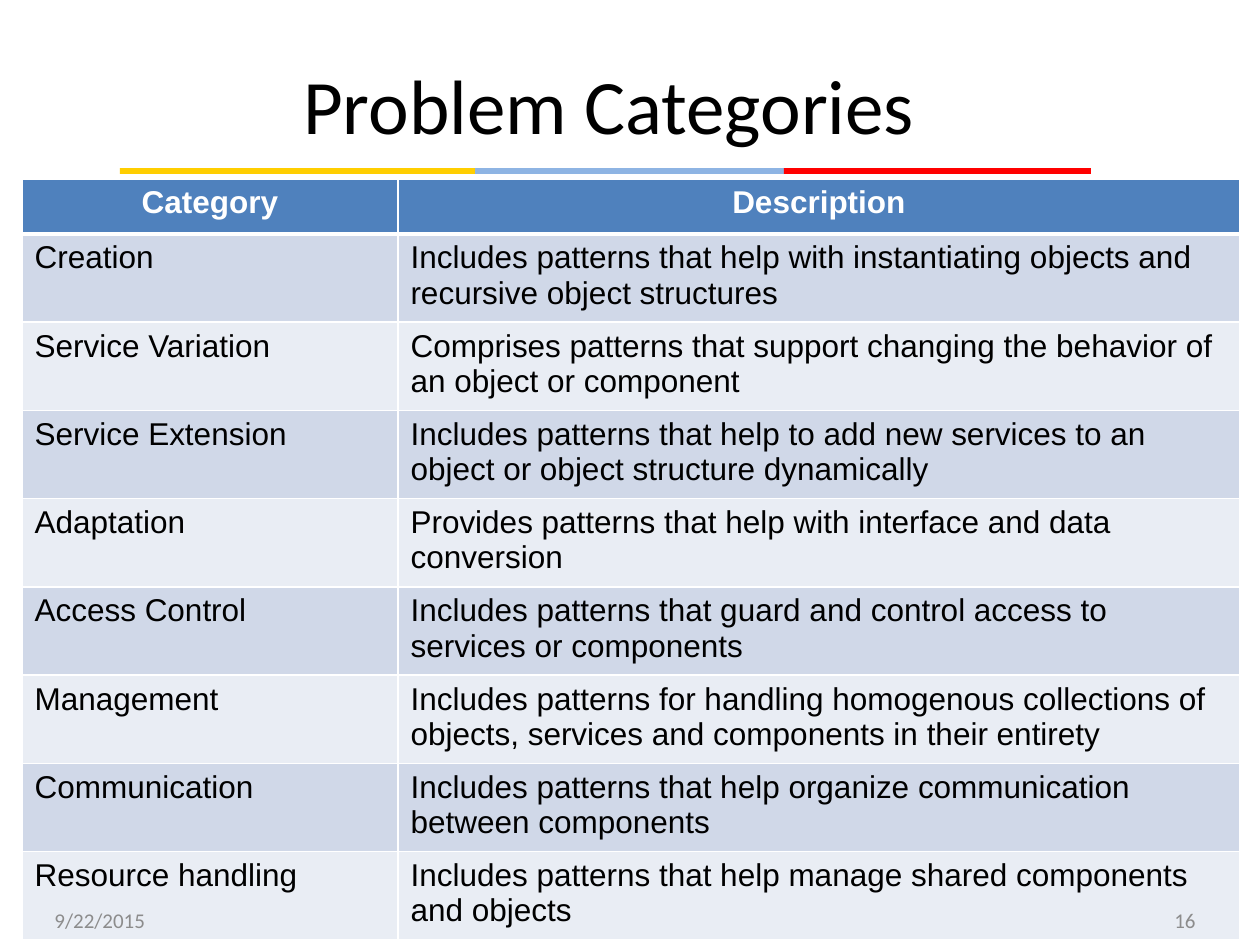
import pptx
import pptx.util
import pptx.dml.color
import pptx.enum.shapes
import pptx.enum.text
import pptx.oxml
import pptx.oxml.ns

RGBColor = pptx.dml.color.RGBColor
ALIGN = pptx.enum.text.PP_ALIGN
WHITE = RGBColor(0xFF, 0xFF, 0xFF)
BLACK = RGBColor(0, 0, 0)
GRAY = RGBColor(0x8C, 0x8C, 0x8C)
YELLOW = RGBColor(0xFF, 0xCE, 0x00)
SKY = RGBColor(0x8E, 0xB4, 0xE3)
RED = RGBColor(0xFF, 0, 0)
HEADER_BLUE = RGBColor(0x4F, 0x81, 0xBD)
BANDS = [RGBColor(0xD0, 0xD8, 0xE8), RGBColor(0xE9, 0xED, 0xF4)]

HEADINGS = ("Category", "Description")
CATEGORIES = [
    ("Creation", "Includes patterns that help with instantiating objects and recursive object structures"),
    ("Service Variation", "Comprises patterns that support changing the behavior of an object or component"),
    ("Service Extension", "Includes patterns that help to add new services to an object or object structure dynamically"),
    ("Adaptation", "Provides patterns that help with interface and data conversion"),
    ("Access Control", "Includes patterns that guard and control access to services or components"),
    ("Management", "Includes patterns for handling homogenous collections of objects, services and components in their entirety"),
    ("Communication", "Includes patterns that help organize communication between components"),
    ("Resource handling", "Includes patterns that help manage shared components and objects"),
]
LABELS = [
    ("Problem Categories", (42, 39, 1134, 130), 44, BLACK, ALIGN.CENTER),
    ("9/22/2015", (42, 895, 294, 50), 12, GRAY, ALIGN.LEFT),
    ("16", (914, 895, 294, 50), 12, GRAY, ALIGN.RIGHT),
]
RULE_SEGMENTS = [(470, 321, SKY), (784, 307, RED), (120, 355, YELLOW)]
COLUMN_WIDTHS = [376, 842]
HEADER_HEIGHT, ROW_HEIGHT, SHORT_HEIGHT = 55, 86, 83
SHORT_ROWS = ("Adaptation", "Resource handling")


def px(length):
    return pptx.util.Emu(round(length * 914400 / 126))


def write(paragraph, text, size, font, color, align, bold=False):
    paragraph.alignment = align
    run = paragraph.add_run()
    run.text = text
    run.font.size = pptx.util.Pt(size)
    run.font.name = font
    run.font.bold = bold
    run.font.color.rgb = color


def add_label(slide, text, box, size, color, align):
    frame = slide.shapes.add_textbox(*map(px, box)).text_frame
    frame.word_wrap = True
    frame.vertical_anchor = pptx.enum.text.MSO_ANCHOR.MIDDLE
    write(frame.paragraphs[0], text, size, "Calibri", color, align)


def set_borders(cell, top, bottom):
    properties = cell._tc.get_or_add_tcPr()
    widths = {"lnL": 1, "lnR": 1, "lnT": top, "lnB": bottom}
    for position, (side, width) in enumerate(widths.items()):
        properties.insert(position, pptx.oxml.parse_xml(
            f'<a:{side} {pptx.oxml.ns.nsdecls("a")} w="{pptx.util.Pt(width)}">'
            f'<a:solidFill><a:srgbClr val="{WHITE}"/></a:solidFill></a:{side}>'))


def add_category_table(slide):
    heights = [HEADER_HEIGHT] + [
        SHORT_HEIGHT if name in SHORT_ROWS else ROW_HEIGHT for name, _ in CATEGORIES]
    table = slide.shapes.add_table(
        len(heights), len(COLUMN_WIDTHS), px(22), px(179),
        px(sum(COLUMN_WIDTHS)), px(sum(heights))).table
    for column, width in zip(table.columns, COLUMN_WIDTHS):
        column.width = px(width)
    for index, texts in enumerate([HEADINGS] + CATEGORIES):
        header = index == 0
        table.rows[index].height = px(heights[index])
        for column, text in enumerate(texts):
            cell = table.cell(index, column)
            cell.fill.solid()
            cell.fill.fore_color.rgb = HEADER_BLUE if header else BANDS[(index - 1) % 2]
            set_borders(cell, 3 if index == 1 else 1, 3 if header else 1)
            write(cell.text_frame.paragraphs[0], text, 18, "Arial",
                  WHITE if header else BLACK,
                  ALIGN.CENTER if header else ALIGN.LEFT, header)


def main():
    deck = pptx.Presentation()
    deck.slide_width, deck.slide_height = px(1260), px(945)
    slide = deck.slides.add_slide(deck.slide_layouts[6])
    for left, width, color in RULE_SEGMENTS:
        segment = slide.shapes.add_shape(
            pptx.enum.shapes.MSO_SHAPE.RECTANGLE, px(left), px(168), px(width), px(6))
        segment.shadow.inherit = False
        segment.fill.solid()
        segment.fill.fore_color.rgb = color
        segment.line.fill.background()
    title, *footers = LABELS
    add_label(slide, *title)
    add_category_table(slide)
    for footer in footers:
        add_label(slide, *footer)
    deck.save("out.pptx")


if __name__ == "__main__":
    main()
